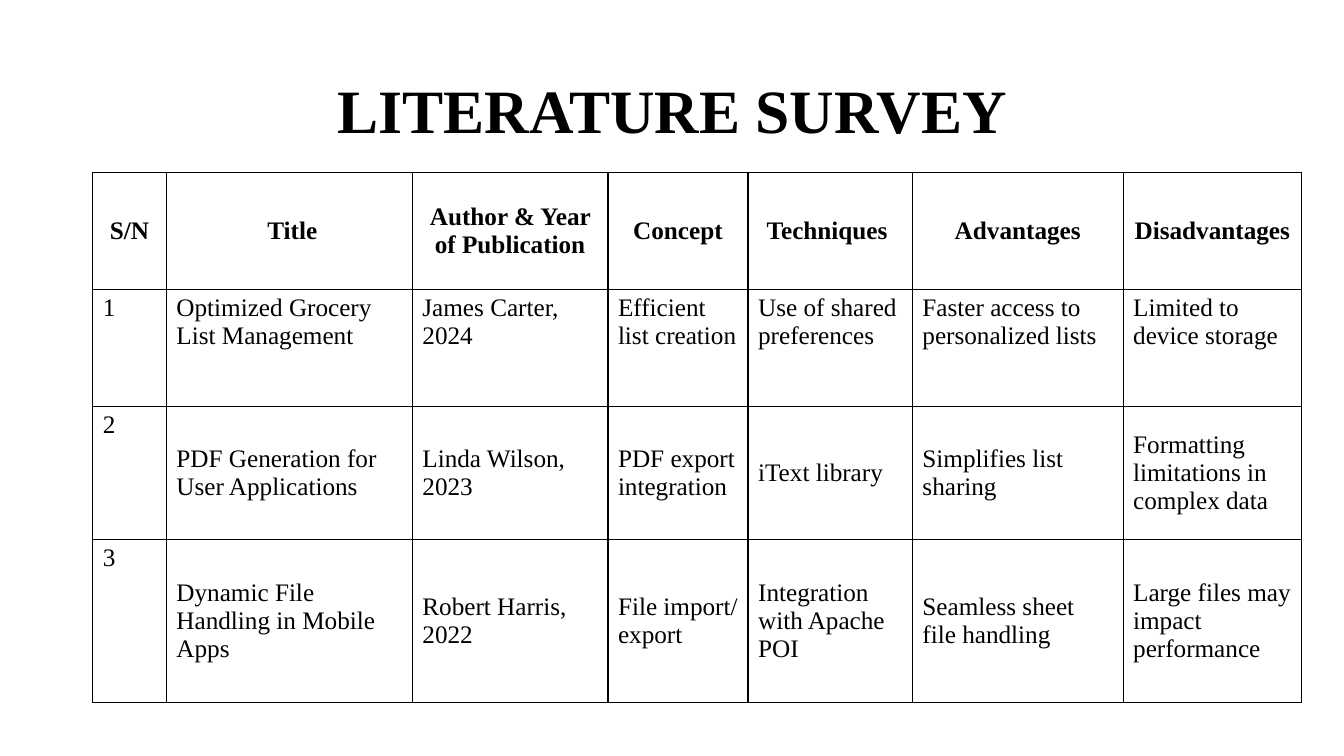
from lxml import etree
from pptx import Presentation
from pptx.dml.color import RGBColor
from pptx.enum.text import MSO_ANCHOR, MSO_AUTO_SIZE, PP_ALIGN
from pptx.oxml.ns import qn
from pptx.util import Pt

PX = 9144  # EMU per px, 100 px to the inch
BLACK = RGBColor(0, 0, 0)
FONT = "Times New Roman"
TOP, MIDDLE = MSO_ANCHOR.TOP, MSO_ANCHOR.MIDDLE
LEFT, CENTER = PP_ALIGN.LEFT, PP_ALIGN.CENTER
NO_AUTOFIT = MSO_AUTO_SIZE.NONE
TITLE_ONLY = 5

COLUMN_WIDTHS = [73, 244, 194, 139, 163, 209, 177]
ROW_HEIGHTS = [116, 116, 132, 162]
SURVEY = [
    ["S/N", " Title", "Author & Year of Publication", "Concept",
     "Techniques ", "Advantages", "Disadvantages"],
    ["1", "Optimized Grocery List Management", "James Carter, 2024",
     "Efficient list creation", "Use of shared preferences",
     "Faster access to personalized lists", "Limited to device storage"],
    ["2", "PDF Generation for User Applications", "Linda Wilson, 2023",
     "PDF export integration", "iText library",
     "Simplifies list sharing", "Formatting limitations in complex data"],
    ["3", "Dynamic File Handling in Mobile Apps", "Robert Harris, 2022",
     "File import/\nexport", "Integration with Apache POI",
     "Seamless sheet file handling", "Large files may impact performance"],
]


def write_text(text_frame, text, size=18, bold=False, align=LEFT, line_spacing=None):
    text_frame.text = text
    for paragraph in text_frame.paragraphs:
        paragraph.alignment = align
        paragraph.line_spacing = line_spacing
        for run in paragraph.runs:
            run.font.name = FONT
            run.font.size = Pt(size)
            run.font.bold = bold
            run.font.color.rgb = BLACK


def add_borders(cell):
    properties = cell._tc.get_or_add_tcPr()
    for side in ("lnL", "lnR", "lnT", "lnB"):
        line = etree.SubElement(properties, qn(f"a:{side}"), w=str(Pt(1)))
        fill = etree.SubElement(line, qn("a:solidFill"))
        etree.SubElement(fill, qn("a:srgbClr"), val=str(BLACK))


presentation = Presentation()
presentation.slide_width = 1333 * PX
presentation.slide_height = 750 * PX
slide = presentation.slides.add_slide(presentation.slide_layouts[TITLE_ONLY])

title = slide.shapes.title
title.left, title.top = 92 * PX, 40 * PX
title.width, title.height = 1150 * PX, 145 * PX
title.text_frame.auto_size = NO_AUTOFIT
title.text_frame.vertical_anchor = MIDDLE
write_text(title.text_frame, "LITERATURE SURVEY", size=44, bold=True,
           align=CENTER, line_spacing=0.9)

table = slide.shapes.add_table(
    len(ROW_HEIGHTS), len(COLUMN_WIDTHS), 92 * PX, 171 * PX,
    sum(COLUMN_WIDTHS) * PX, sum(ROW_HEIGHTS) * PX).table
table.horz_banding = False
for column, width in zip(table.columns, COLUMN_WIDTHS):
    column.width = width * PX
for row, height in zip(table.rows, ROW_HEIGHTS):
    row.height = height * PX

for row_index, entries in enumerate(SURVEY):
    is_header = row_index == 0
    for column_index, entry in enumerate(entries):
        cell = table.cell(row_index, column_index)
        write_text(cell.text_frame, entry, bold=is_header,
                   align=CENTER if is_header else LEFT)
        is_middle = is_header or (row_index > 1 and column_index > 0)
        cell.vertical_anchor = MIDDLE if is_middle else TOP
        add_borders(cell)
        cell.fill.background()

presentation.save("out.pptx")
